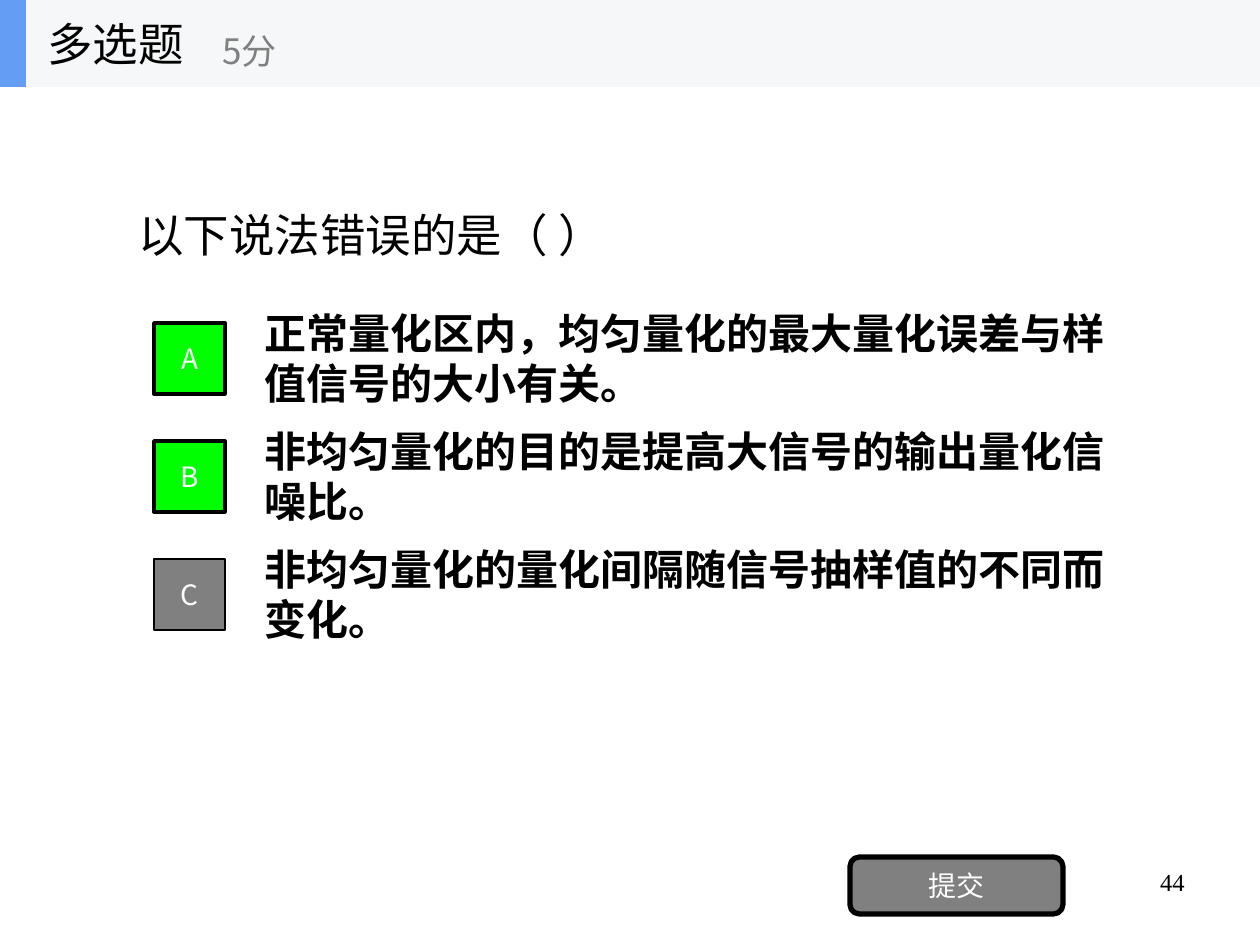
from pptx import Presentation
from pptx.dml.color import RGBColor
from pptx.enum.shapes import MSO_SHAPE
from pptx.enum.text import MSO_ANCHOR, PP_ALIGN
from pptx.util import Emu, Pt

RECT, ROUNDED = MSO_SHAPE.RECTANGLE, MSO_SHAPE.ROUNDED_RECTANGLE
LEFT, CENTER, RIGHT = PP_ALIGN.LEFT, PP_ALIGN.CENTER, PP_ALIGN.RIGHT
TOP, MIDDLE = MSO_ANCHOR.TOP, MSO_ANCHOR.MIDDLE

EMU_PER_PX = 914400 / 126
SANS, SERIF = "Noto Sans CJK SC", "Times New Roman"
BLACK, WHITE, GRAY, GREEN = "000000", "FFFFFF", "808080", "00FF00"
HEADER_BG, HEADER_ACCENT = "F6F7F8", "639EF4"

OPTIONS = [
    ("A", "正常量化区内，均匀量化的最大量化误差与样值信号的大小有关。", True),
    ("B", "非均匀量化的目的是提高大信号的输出量化信噪比。", True),
    ("C", "非均匀量化的量化间隔随信号抽样值的不同而变化。", False),
]
FIRST_OPTION_TOP, OPTION_PITCH = 314, 118
OPTION_HEIGHT, MARKER_SIZE = 88, 71


def px(length):
    return Emu(round(length * EMU_PER_PX))


def color(hex_code):
    return RGBColor.from_string(hex_code)


class QuizSlide:
    """Draws on one slide, or on the group opened last."""

    def __init__(self, slide):
        self.slide = slide
        self.shapes = slide.shapes

    def open_group(self):
        self.shapes = self.slide.shapes.add_group_shape().shapes

    def fill_frame(self, frame, words, size, hex_code, font=SANS, bold=False,
                   align=LEFT, anchor=MIDDLE, wrap=True):
        frame.word_wrap = wrap
        frame.vertical_anchor = anchor
        paragraph = frame.paragraphs[0]
        paragraph.alignment = align
        run = paragraph.add_run()
        run.text = words
        run.font.size = Pt(size)
        run.font.name = font
        run.font.bold = bold
        run.font.color.rgb = color(hex_code)

    def text(self, box, words, size, hex_code=BLACK, **style):
        label = self.shapes.add_textbox(*map(px, box))
        self.fill_frame(label.text_frame, words, size, hex_code, **style)

    def block(self, box, fill, kind=RECT, border=0):
        """Adds a filled shape; a border of 0 points means no line."""
        shape = self.shapes.add_shape(kind, *map(px, box))
        shape.shadow.inherit = False
        shape.fill.solid()
        shape.fill.fore_color.rgb = color(fill)
        if border:
            shape.line.color.rgb = color(BLACK)
            shape.line.width = Pt(border)
        else:
            shape.line.fill.background()
        return shape

    def button(self, box, words, fill, border, kind=RECT):
        shape = self.block(box, fill, kind, border)
        self.fill_frame(shape.text_frame, words, 16, WHITE, align=CENTER,
                        wrap=False)

    def option(self, row, letter, statement, correct):
        top = FIRST_OPTION_TOP + row * OPTION_PITCH
        marker_top = top + (OPTION_HEIGHT - MARKER_SIZE + 1) // 2
        self.text((252, top, 882, OPTION_HEIGHT), statement, 24,
                  font=SERIF, bold=True)
        self.button((154, marker_top, MARKER_SIZE, MARKER_SIZE), letter,
                    GREEN if correct else GRAY, 2 if correct else 1)

    def header(self, title, points):
        self.open_group()
        self.block((0, 0, 1260, 87), HEADER_BG)
        self.block((0, 0, 26, 87), HEADER_ACCENT)
        self.text((35, 0, 262, 87), title, 26)
        self.text((210, 15, 315, 71), points, 20, GRAY)


def main():
    deck = Presentation()
    deck.slide_width, deck.slide_height = px(1260), px(945)
    quiz = QuizSlide(deck.slides.add_slide(deck.slide_layouts[6]))

    quiz.text((903, 861, 294, 66), "44", 14, font=SERIF, align=RIGHT, anchor=TOP)
    quiz.text((126, 87, 1008, 295), "以下说法错误的是（ ）", 26)
    for row, option in enumerate(OPTIONS):
        quiz.option(row, *option)
    quiz.button((850, 857, 213, 57), "提交", GRAY, 3, ROUNDED)
    quiz.header("多选题", "5分")

    deck.save("out.pptx")


if __name__ == "__main__":
    main()
